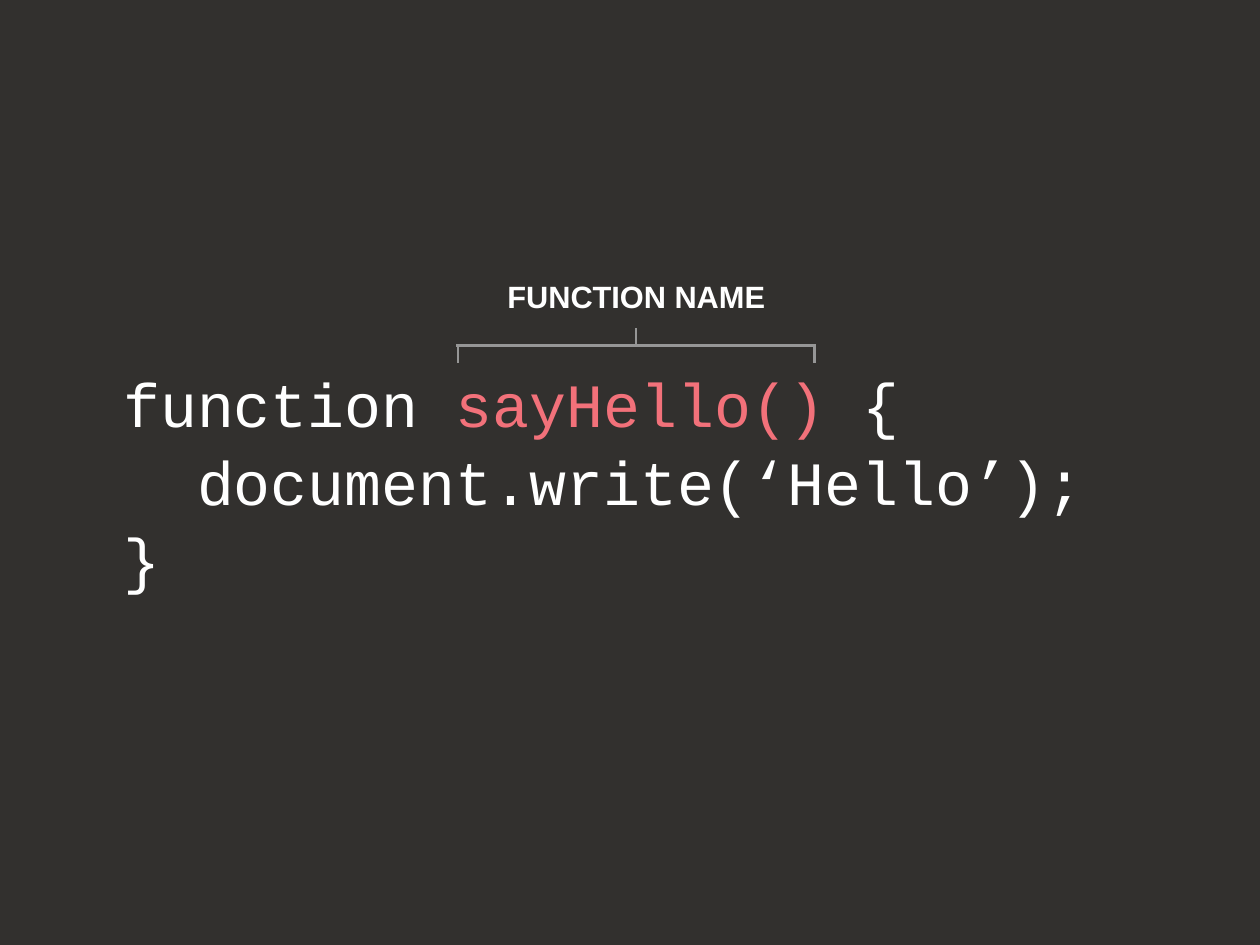
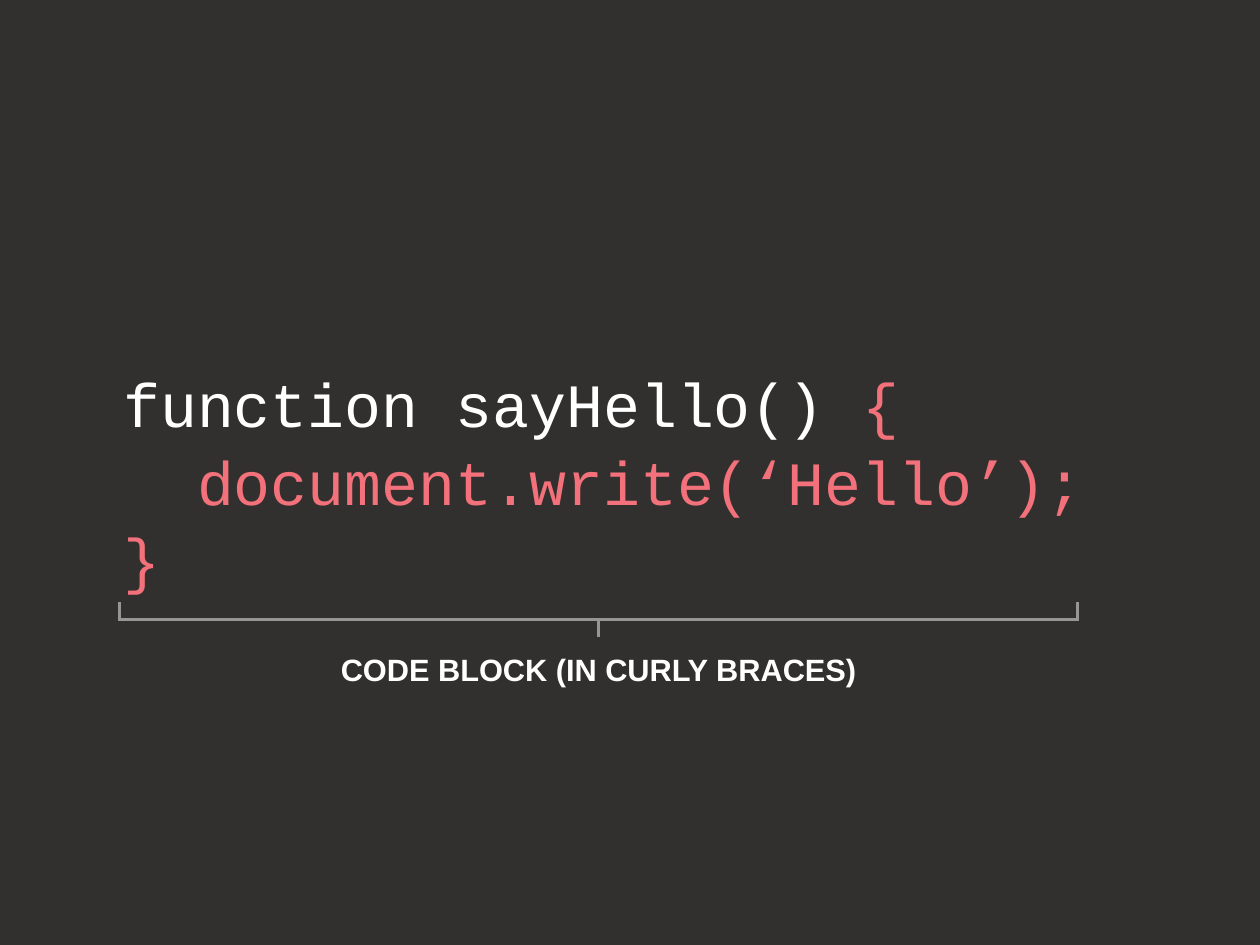
from dataclasses import dataclass

from lxml import etree
from pptx import Presentation
from pptx.dml.color import RGBColor
from pptx.enum import shapes, text
from pptx.oxml.ns import qn
from pptx.util import Inches, Pt


@dataclass(frozen=True)
class Theme:
    background: RGBColor = RGBColor(0x32, 0x30, 0x2E)
    plain: RGBColor = RGBColor(0xFF, 0xFF, 0xFF)
    accent: RGBColor = RGBColor(0xF2, 0x71, 0x7A)
    bracket: RGBColor = RGBColor(0x96, 0x96, 0x96)
    code_font: str = "Courier New"
    label_font: str = "Arial"
    code_size: int = 50
    label_size: int = 25
    line_width: int = 2
    code_spacing: float = 1.05


WIDTH, HEIGHT = 14.22, 10.66
CODE_MARGIN = 1.39
CODE_DROP = 0.14
TICK = 0.2
OVERHANG = 0.02
LABEL_HEIGHT = 0.41
LABEL_DISTANCE = 0.56  # from the bracket's spine to the label's centre


def add_text(para, words, *, font, size, color, bold=False):
    """Append words to a paragraph, turning newlines into line breaks."""
    for index, line in enumerate(words.split("\n")):
        if index:
            para.add_line_break()
        if line:
            span = para.add_run()
            span.text = line
            span.font.name = font
            span.font.size = Pt(size)
            span.font.color.rgb = color
            span.font.bold = bold


class CodeDeck:
    def __init__(self, theme):
        self.theme = theme
        self.deck = Presentation()
        self.deck.slide_width = Inches(WIDTH)
        self.deck.slide_height = Inches(HEIGHT)
        self.slide = None

    def new_slide(self):
        self.slide = self.deck.slides.add_slide(self.deck.slide_layouts[6])
        fill = self.slide.background.fill
        fill.solid()
        fill.fore_color.rgb = self.theme.background

    def frame(self, left, top, width, height, margin=0):
        box = self.slide.shapes.add_textbox(
            Inches(left), Inches(top), Inches(width), Inches(height))
        frame = box.text_frame
        frame.word_wrap = True
        frame.margin_left = frame.margin_right = Inches(margin)
        frame.margin_top = frame.margin_bottom = Inches(margin)
        return frame

    def code(self, *parts):
        """Show (words, color) parts as one listing in the slide's middle."""
        frame = self.frame(0, 0, WIDTH, HEIGHT, CODE_MARGIN)
        frame.margin_top = Inches(CODE_MARGIN + CODE_DROP)
        frame.vertical_anchor = text.MSO_ANCHOR.MIDDLE
        para = frame.paragraphs[0]
        para.line_spacing = self.theme.code_spacing
        for words, color in parts:
            add_text(para, words, font=self.theme.code_font,
                     size=self.theme.code_size, color=color)

    def line(self, x1, y1, x2, y2):
        line = self.slide.shapes.add_connector(
            shapes.MSO_CONNECTOR.STRAIGHT,
            Inches(x1), Inches(y1), Inches(x2), Inches(y2))
        line.line.color.rgb = self.theme.bracket
        line.line.width = Pt(self.theme.line_width)
        etree.SubElement(line._element.spPr, qn("a:effectLst"))

    def label(self, words, center, middle, width):
        frame = self.frame(center - width / 2, middle - LABEL_HEIGHT / 2,
                           width, LABEL_HEIGHT)
        para = frame.paragraphs[0]
        para.alignment = text.PP_ALIGN.CENTER
        add_text(para, words, font=self.theme.label_font,
                 size=self.theme.label_size, color=self.theme.plain, bold=True)

    def bracket(self, words, left, right, y, side, label_width):
        """Draw a labelled bracket; side is -1 for a label above, 1 below."""
        center = (left + right) / 2
        for x in (left, right):
            self.line(x, y, x, y - side * TICK)
        self.line(center, y, center, y + side * TICK)
        self.line(left - OVERHANG, y, right + OVERHANG, y)
        self.label(words, center, y + side * LABEL_DISTANCE, label_width)


def main():
    theme = Theme()
    pages = CodeDeck(theme)

    pages.new_slide()
    pages.code(("function ", theme.plain),
               ("sayHello()", theme.accent),
               (" {\n  document.write(‘Hello’);\n}", theme.plain))
    pages.bracket("FUNCTION NAME", 5.17, 9.19, 3.9, -1, 3.35)

    pages.new_slide()
    pages.code(("function sayHello() ", theme.plain),
               ("{\n  document.write(‘Hello’);\n}", theme.accent))
    pages.bracket("CODE BLOCK (IN CURLY BRACES)", 1.35, 12.16, 6.99, 1, 10.3)

    pages.deck.save("out.pptx")


if __name__ == "__main__":
    main()
